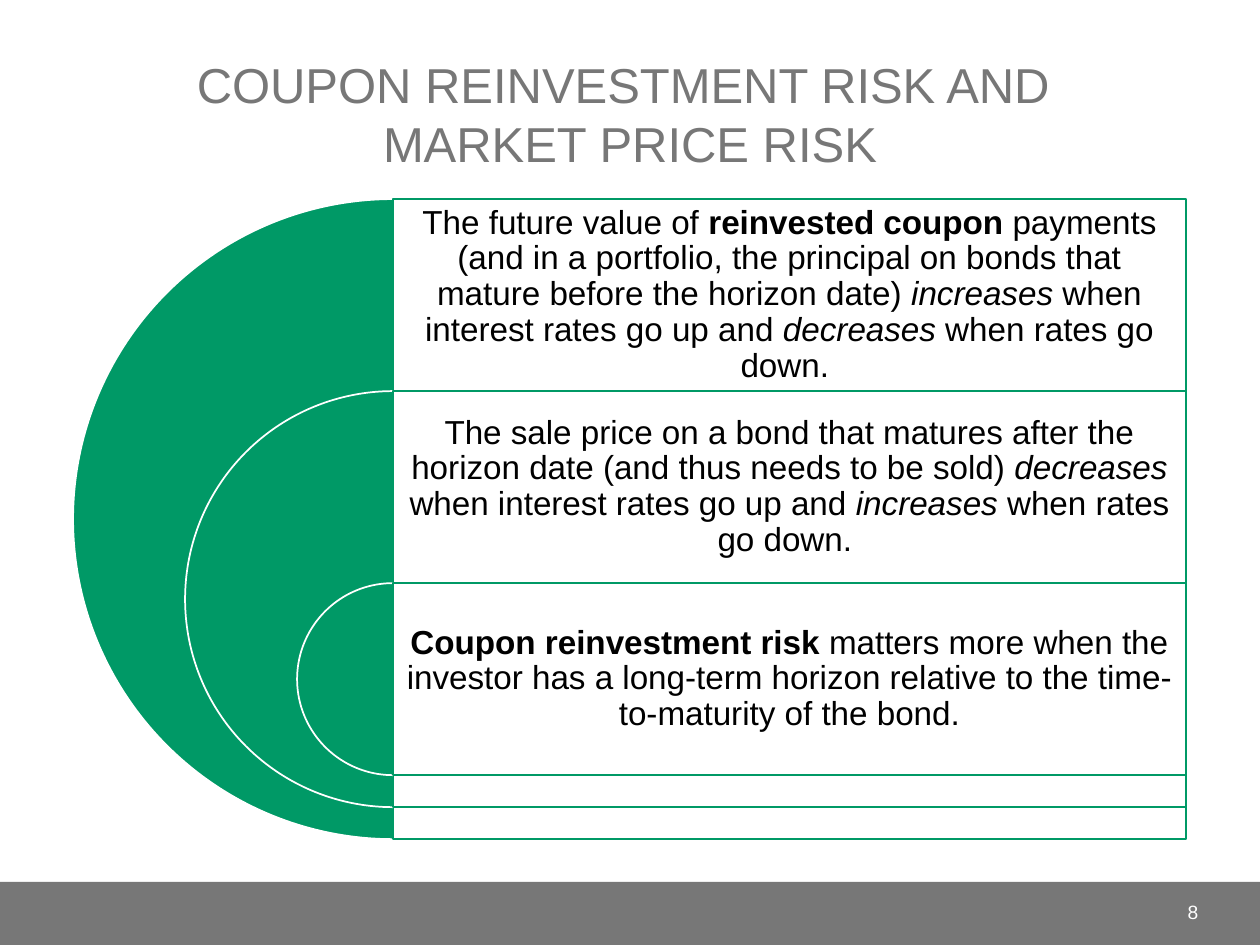
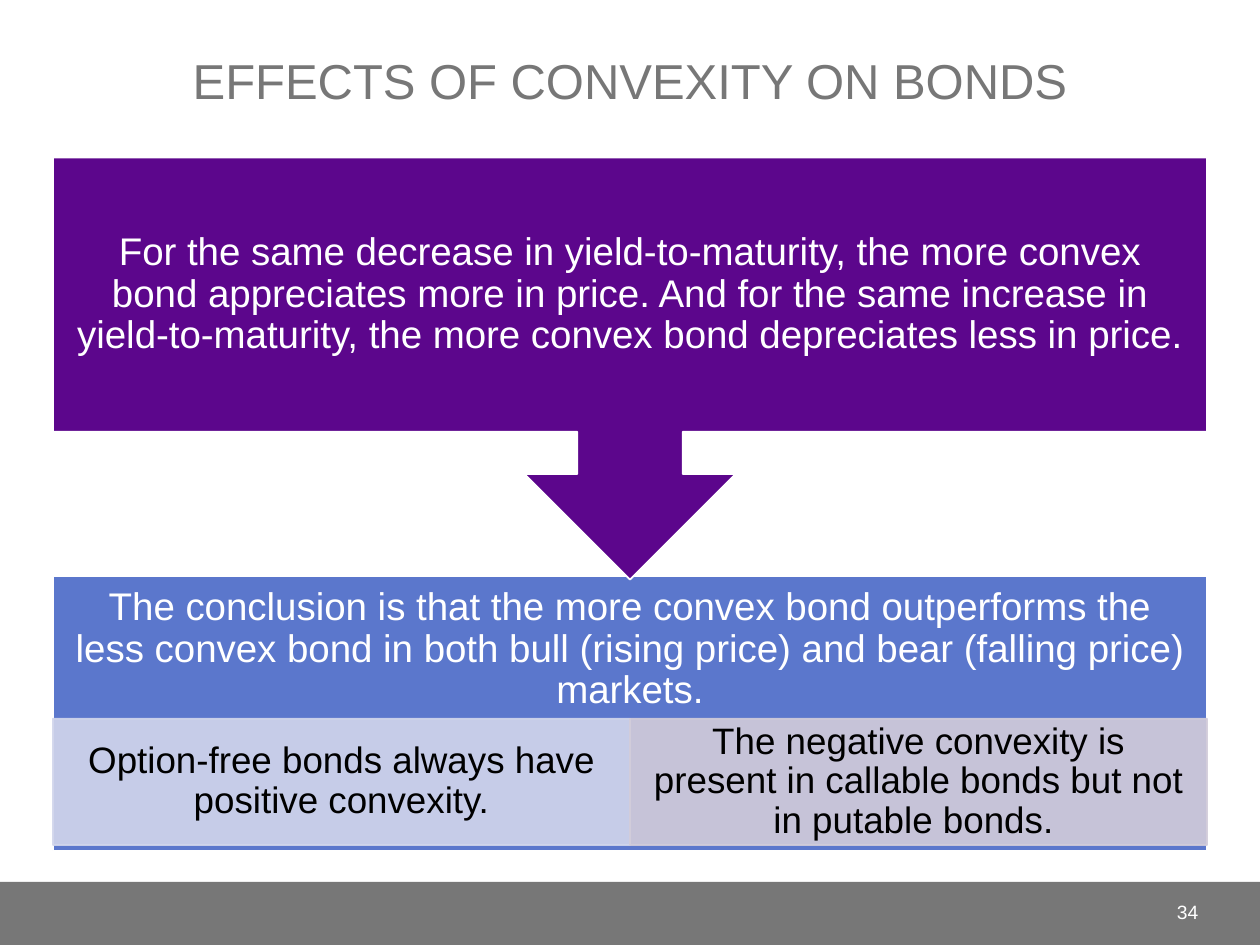
from lxml.etree import SubElement
from pptx import Presentation
from pptx.dml.color import RGBColor
from pptx.enum.shapes import MSO_SHAPE as Shape
from pptx.enum.text import MSO_ANCHOR as Anchor, MSO_AUTO_SIZE as AutoSize, PP_ALIGN as Align
from pptx.oxml.ns import qn
from pptx.util import Inches, Pt

WHITE = RGBColor(0xFF, 0xFF, 0xFF)
BLACK = RGBColor(0x00, 0x00, 0x00)
GRAY = RGBColor(0x77, 0x77, 0x77)
GREEN = RGBColor(0x00, 0x99, 0x66)
PURPLE = RGBColor(0x5C, 0x06, 0x8C)
BLUE = RGBColor(0x5B, 0x77, 0xCC)
PALE_BLUE = RGBColor(0xD2, 0xD6, 0xEC)
PALE_MAUVE = RGBColor(0xD2, 0xCC, 0xDA)

FONT = "Arial"
COLUMNS, ROWS = 10, 7.5
CELL = Inches(1)
BAND_HEIGHT = 0.5
MARGIN = 0.42
CONTENT_WIDTH = COLUMNS - 2 * MARGIN
BOLD, ITALIC = {"bold": True}, {"italic": True}

RISKS = [
    [("The future value of ", {}), ("reinvested coupon ", BOLD),
     ("payments (and in a portfolio, the principal on bonds that mature "
      "before the horizon date) ", {}),
     ("increases", ITALIC), (" when interest rates go up and ", {}),
     ("decreases", ITALIC), (" when rates go down. ", {})],
    [("The sale price on a bond that matures after the horizon date "
      "(and thus needs to be sold) ", {}),
     ("decreases ", ITALIC), ("when interest rates go up and ", {}),
     ("increases", ITALIC), (" when rates go down. ", {})],
    [("Coupon reinvestment risk ", BOLD),
     ("matters more when the investor has a long-term horizon relative to "
      "the time-to-maturity of the bond.", {})],
]
PREMISE = ("For the same decrease in yield-to-maturity, the more convex bond "
           "appreciates more in price. And for the same increase in "
           "yield-to-maturity, the more convex bond depreciates less in price. ")
CONCLUSION = ("The conclusion is that the more convex bond outperforms the less "
              "convex bond in both bull (rising price) and bear (falling price) "
              "markets.")
CASES = [
    ("Option-free bonds always have positive convexity.", PALE_BLUE),
    ("The negative convexity is present in callable bonds but not in putable "
     "bonds. ", PALE_MAUVE),
]


def grid(*cells):
    """Turn grid cells into slide lengths."""
    return [round(cell * CELL) for cell in cells]


def apply(target, values):
    """Set every attribute named in the format values."""
    for name, value in values.items():
        setattr(target, name, value)


def write(frame, spans, size, color, align=Align.CENTER, spacing=1.0):
    """Write formatted spans as one paragraph, breaking lines at newlines."""
    para = frame.paragraphs[0]
    apply(para, {"alignment": align, "line_spacing": spacing})
    for text, style in spans:
        for index, line in enumerate(text.split("\n")):
            if index:
                para.add_line_break()
            span = para.add_run()
            span.text = line
            apply(span.font, {"name": FONT, "size": Pt(size), **style})
            span.font.color.rgb = color


def add_label(page, area, spans, size, color, insets=(0.1, 0.05),
              align=Align.CENTER, spacing=0.9):
    """Add a vertically centred text box."""
    frame = page.shapes.add_textbox(*grid(*area)).text_frame
    side, edge = grid(*insets)
    apply(frame, {"word_wrap": True, "vertical_anchor": Anchor.MIDDLE,
                  "margin_left": side, "margin_right": side,
                  "margin_top": edge, "margin_bottom": edge})
    write(frame, spans, size, color, align, spacing)


def add_block(page, kind, area, fill, line=None, opacity=None, line_opacity=None):
    """Add a filled preset shape with an optional outline and transparency."""
    block = page.shapes.add_shape(kind, *grid(*area))
    block.shadow.inherit = False
    block.fill.solid()
    block.fill.fore_color.rgb = fill
    if line is None:
        block.line.fill.background()
    else:
        block.line.color.rgb = line
        block.line.width = Pt(1)
    properties = block.element.spPr
    for holder, share in ((properties, opacity), (properties.find(qn("a:ln")), line_opacity)):
        if share:
            color = holder.find(qn("a:solidFill")).find(qn("a:srgbClr"))
            SubElement(color, qn("a:alpha")).set("val", str(share * 1000))
    return block


def add_band(deck, layout):
    """Put the footer band on the shared layout and return the first page."""
    page = deck.slides.add_slide(layout)
    band = add_block(page, Shape.RECTANGLE,
                     (0, ROWS - BAND_HEIGHT, COLUMNS, BAND_HEIGHT), GRAY)
    layout.shapes.element.append(band.element)
    return page


def dress_page(page, title, title_height, number):
    """Fill the title and the page number."""
    box = page.shapes.title
    left, top, width, height = grid(MARGIN, 0.17, CONTENT_WIDTH, title_height)
    apply(box, {"left": left, "top": top, "width": width, "height": height})
    apply(box.text_frame, {"word_wrap": True, "auto_size": AutoSize.NONE,
                           "vertical_anchor": Anchor.BOTTOM})
    write(box.text_frame, [(title, {})], 28, GRAY)
    add_label(page, (8.75, 7.04, 0.86, 0.4), [(str(number), {})], 11, WHITE,
              align=Align.RIGHT, spacing=1.0)


def add_nested_targets(page, center, top, diameter, width, items):
    """Draw shrinking half discs, each with a panel and its text."""
    row = 0.3 * diameter
    for index, spans in enumerate(items):
        size = diameter * (1 - 0.35 * index)
        start = top + index * row
        half_disc = add_block(page, Shape.PIE, (center - size / 2, start, size, size),
                              GREEN, WHITE)
        half_disc.adjustments[0], half_disc.adjustments[1] = 54, 162
        add_block(page, Shape.RECTANGLE, (center, start, width, size),
                  WHITE, GREEN, opacity=90)
        add_label(page, (center, start, width, row), spans, 19, BLACK, (0.08, 0.08))


def add_conclusion(page, top, height):
    """Draw the conclusion block with its row of cases."""
    add_block(page, Shape.RECTANGLE, (MARGIN, top, CONTENT_WIDTH, height), BLUE, WHITE)
    add_label(page, (MARGIN, top, CONTENT_WIDTH, 0.54 * height),
              [(CONCLUSION, {})], 22, WHITE, (0.17, 0.17))
    width = CONTENT_WIDTH / len(CASES)
    for index, (text, fill) in enumerate(CASES):
        area = (MARGIN + index * width, top + 0.52 * height, width, 0.46 * height)
        add_block(page, Shape.RECTANGLE, area, fill, fill, 90, 90)
        add_label(page, area, [(text, {})], 21, BLACK, (0.16, 0.03))


def add_premise(page, top, height):
    """Draw the callout that points down to the conclusion."""
    callout = add_block(page, Shape.UP_ARROW_CALLOUT,
                        (MARGIN, top, CONTENT_WIDTH, height), PURPLE, WHITE)
    callout.rotation = 180
    add_label(page, (MARGIN, top, CONTENT_WIDTH, 0.65 * height),
              [(PREMISE, {})], 22, WHITE, (0.17, 0.17))


def main():
    """Build and save the deck."""
    deck = Presentation()
    deck.slide_width, deck.slide_height = grid(COLUMNS, ROWS)
    layout = deck.slide_layouts[5]

    risk_page = add_band(deck, layout)
    dress_page(risk_page, "COUPON REINVESTMENT RISK AND \nMARKET PRICE RISK", 1.25, 8)
    add_nested_targets(risk_page, 3.12, 1.58, 5.08, 6.29, RISKS)

    convexity_page = deck.slides.add_slide(layout)
    dress_page(convexity_page, "EFFECTS OF CONVEXITY ON BONDS", 0.75, 34)
    add_conclusion(convexity_page, 4.57, 2.18)
    add_premise(convexity_page, 1.25, 3.35)

    deck.save("out.pptx")


if __name__ == "__main__":
    main()
